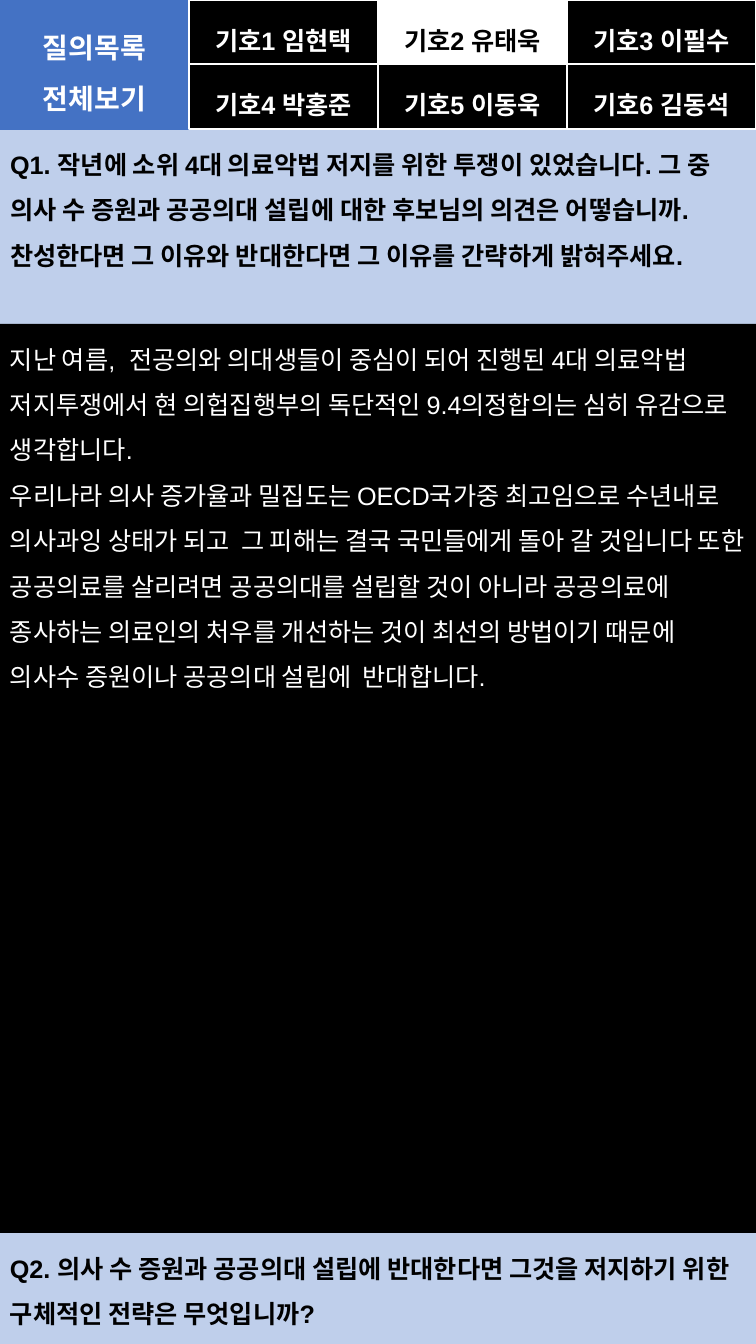
"""Build a candidate Q&A slide with a header menu, two questions and an answer."""
import dataclasses

import pptx
import pptx.dml.color
import pptx.enum.shapes
import pptx.enum.text
import pptx.util

PX = 914400 / 100.8
WIDTH, HEIGHT = 756, 1344
COLUMN, ROW, HEADER = 189, 64, 129
QUESTION_2_TOP = 1233
COLORS = {
    "black": "000000",
    "white": "FFFFFF",
    "pale": "BFCFEB",
    "blue": "4472C4",
}
CANDIDATES = ["임현택", "유태욱", "이필수", "박홍준", "이동욱", "김동석"]
SELECTED = 2


@dataclasses.dataclass
class Panel:
    """A filled rectangle with its text, measured in pixels."""

    left: int
    top: int
    width: int
    height: int
    text: str
    fill: str
    color: str
    line: str | None = None
    size: int = 18
    bold: bool = True
    centered: bool = False


def emu(pixels: int) -> pptx.util.Emu:
    """Convert pixels to EMU."""
    return pptx.util.Emu(round(pixels * PX))


def rgb(name: str) -> pptx.dml.color.RGBColor:
    """Look up a named colour."""
    return pptx.dml.color.RGBColor.from_string(COLORS[name])


def format_panel(sp, panel: Panel) -> None:
    """Place a shape or placeholder and apply the panel's text and style."""
    sp.left, sp.top = emu(panel.left), emu(panel.top)
    sp.width, sp.height = emu(panel.width), emu(panel.height)
    sp.fill.solid()
    sp.fill.fore_color.rgb = rgb(panel.fill)
    if panel.line:
        sp.line.color.rgb = rgb(panel.line)
        sp.line.width = pptx.util.Pt(1)
    else:
        sp.line.fill.background()
    anchor = pptx.enum.text.MSO_ANCHOR
    align = pptx.enum.text.PP_ALIGN
    tf = sp.text_frame
    tf.text = panel.text
    tf.word_wrap = True
    tf.auto_size = pptx.enum.text.MSO_AUTO_SIZE.NONE
    tf.vertical_anchor = anchor.MIDDLE if panel.centered else anchor.TOP
    for p in tf.paragraphs:
        p.alignment = align.CENTER if panel.centered else align.LEFT
        p.line_spacing = 1.5
        for r in p.runs:
            r.font.name = "Arial"
            r.font.size = pptx.util.Pt(panel.size)
            r.font.bold = panel.bold
            r.font.color.rgb = rgb(panel.color)


def add_panel(s, panel: Panel) -> None:
    """Add one panel to the slide."""
    sp = s.shapes.add_shape(pptx.enum.shapes.MSO_SHAPE.RECTANGLE, 0, 0, 0, 0)
    sp.shadow.inherit = False
    format_panel(sp, panel)


def candidate_button(number: int, name: str) -> Panel:
    """Describe a candidate's button in the three-column menu."""
    row, column = divmod(number - 1, 3)
    fill, color = ("white", "black") if number == SELECTED else ("black", "white")
    return Panel((column + 1) * COLUMN, row * ROW, COLUMN, HEADER - ROW,
                 f"기호{number} {name}", fill, color, line="white", centered=True)


QUESTION_1 = Panel(
    0, HEADER, WIDTH, 195,
    "Q1. 작년에 소위 4대 의료악법 저지를 위한 투쟁이 있었습니다. 그 중 의사 수 증원과 "
    "공공의대 설립에 대한 후보님의 의견은 어떻습니까. 찬성한다면 그 이유와 반대한다면 "
    "그 이유를 간략하게 밝혀주세요.",
    "pale", "black")
ANSWER_TOP = QUESTION_1.top + QUESTION_1.height
ANSWER = Panel(
    0, ANSWER_TOP, WIDTH, HEIGHT - ANSWER_TOP,
    "지난 여름,  전공의와 의대생들이 중심이 되어 진행된 4대 의료악법 저지투쟁에서 "
    "현 의헙집행부의 독단적인 9.4의정합의는 심히 유감으로 생각합니다.\n"
    "우리나라 의사 증가율과 밀집도는 OECD국가중 최고임으로 수년내로 의사과잉 상태가 "
    "되고  그 피해는 결국 국민들에게 돌아 갈 것입니다 또한 공공의료를 살리려면 "
    "공공의대를 설립할 것이 아니라 공공의료에 종사하는 의료인의 처우를 개선하는 것이 "
    "최선의 방법이기 때문에 의사수 증원이나 공공의대 설립에  반대합니다.",
    "black", "white", bold=False)
QUESTION_2 = Panel(
    0, QUESTION_2_TOP, WIDTH, HEIGHT - QUESTION_2_TOP,
    "Q2. 의사 수 증원과 공공의대 설립에 반대한다면 그것을 저지하기 위한 구체적인 "
    "전략은 무엇입니까?",
    "pale", "black")
MENU = Panel(0, 0, COLUMN, HEADER, "질의목록\n전체보기", "blue", "white",
             line="blue", size=20, centered=True)

prs = pptx.Presentation()
prs.slide_width, prs.slide_height = emu(WIDTH), emu(HEIGHT)
s = prs.slides.add_slide(prs.slide_layouts.get_by_name("Title Only"))
format_panel(s.shapes.title, QUESTION_1)
buttons = [candidate_button(n, name) for n, name in enumerate(CANDIDATES, 1)]
for panel in [ANSWER, QUESTION_2, MENU, *buttons]:
    add_panel(s, panel)
prs.save("out.pptx")
